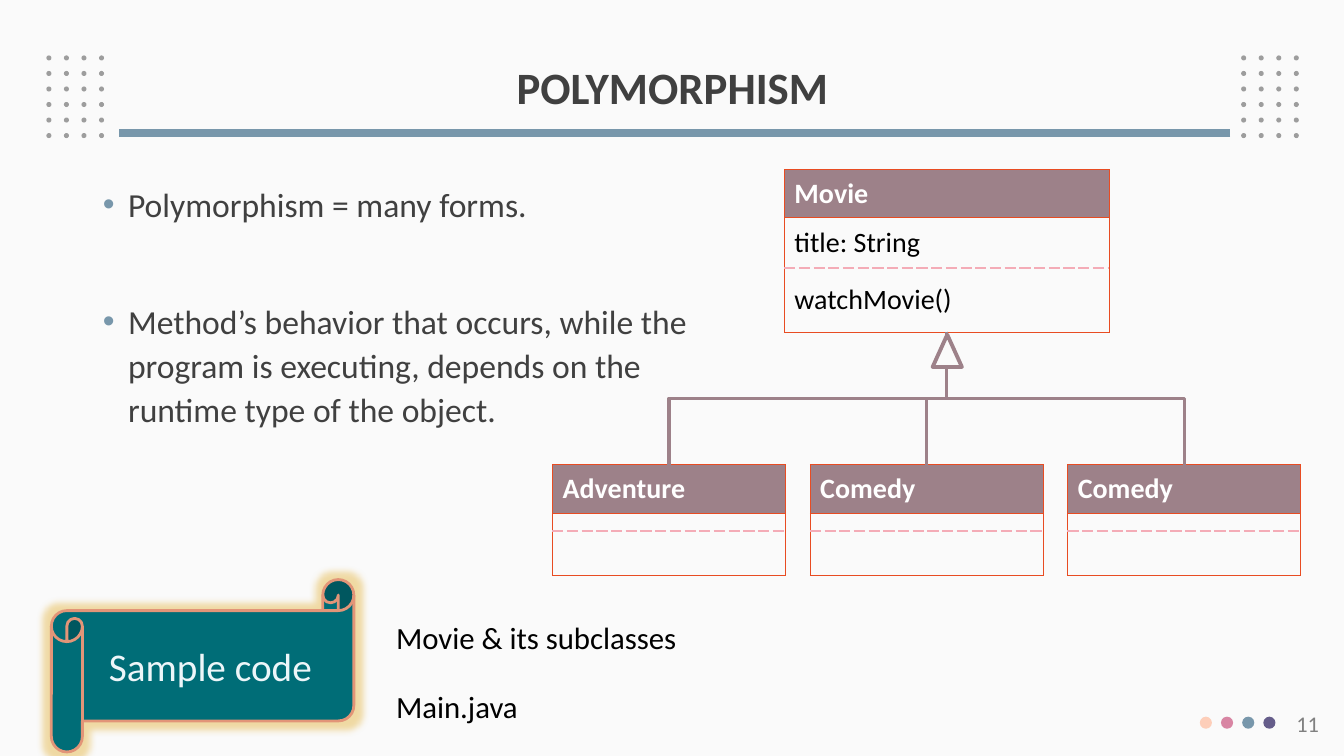
from dataclasses import dataclass
from itertools import product

from lxml.etree import SubElement
from pptx import Presentation
from pptx.dml.color import RGBColor
from pptx.enum.shapes import MSO_CONNECTOR, MSO_SHAPE
from pptx.enum.text import MSO_ANCHOR, MSO_AUTO_SIZE, PP_ALIGN
from pptx.oxml.ns import qn
from pptx.util import Inches, Pt


@dataclass(frozen=True)
class Theme:
    font: str = "Calibri"
    background: str = "FAFAFA"
    ink: str = "404040"
    black: str = "000000"
    white: str = "FFFFFF"
    number: str = "808080"
    dot: str = "9D9D9D"
    rule: str = "7897AB"
    uml: str = "9D8189"
    border: str = "E84C22"
    divider: str = "F4ACB7"
    scroll: str = "006D77"
    scroll_edge: str = "E29578"
    scroll_text: str = "EDF6F9"
    glow: str = "E9C46A"
    footer_dots: tuple = ("FDCEB9", "D885A3", "7897AB", "655D8A")
    title_size: int = 32
    scroll_size: int = 28
    body_size: int = 24
    file_size: int = 22
    class_size: int = 20
    number_size: int = 16
    empty_size: int = 4


THEME = Theme()


def rgb(value):
    return RGBColor.from_string(value)


def set_font(paragraph, size, color, bold=False):
    font = paragraph.font
    font.name, font.size, font.bold = THEME.font, Pt(size), bold
    font.color.rgb = rgb(color)


def place(shape, left, top, width, height):
    shape.left, shape.top = Inches(left), Inches(top)
    shape.width, shape.height = Inches(width), Inches(height)


def add_preset(slide, preset, box, fill, edge=None, edge_width=0):
    shape = slide.shapes.add_shape(preset, *map(Inches, box))
    shape.shadow.inherit = False
    shape.fill.solid()
    shape.fill.fore_color.rgb = rgb(fill)
    if edge:
        shape.line.color.rgb = rgb(edge)
        shape.line.width = Pt(edge_width)
    else:
        shape.line.fill.background()
    return shape


def add_line(slide, kind, begin, end, color, width):
    line = slide.shapes.add_connector(kind, *map(Inches, (*begin, *end)))
    line.line.color.rgb = rgb(color)
    line.line.width = Pt(width)
    SubElement(line._element.spPr, qn("a:effectLst"))
    return line


def add_inheritance(slide, parent, child):
    (x1, y1), (x2, y2) = parent, child
    center_x, center_y = (x1 + x2) / 2, (y1 + y2) / 2
    half_width, half_height = (y2 - y1) / 2, abs(x2 - x1) / 2
    side = 1 if x2 > x1 else -1
    begin = (center_x + side * half_width, center_y - half_height)
    end = (center_x - side * half_width, center_y + half_height)
    elbow = add_line(slide, MSO_CONNECTOR.ELBOW, begin, end, THEME.uml, 2.25)
    degrees = 270 if side > 0 else 90
    elbow._element.spPr.find(qn("a:xfrm")).set("rot", str(degrees * 60000))


def add_label(slide, text, box, size, color, align=PP_ALIGN.LEFT, wrap=False):
    frame = slide.shapes.add_textbox(*map(Inches, box)).text_frame
    frame.word_wrap = wrap
    paragraph = frame.paragraphs[0]
    paragraph.text, paragraph.alignment = text, align
    set_font(paragraph, size, color)


def set_borders(cell, top_dashed, bottom_dashed):
    properties = cell._tc.get_or_add_tcPr()
    for side, dashed in (("L", False), ("R", False), ("T", top_dashed), ("B", bottom_dashed)):
        border = SubElement(properties, qn(f"a:ln{side}"), w=str(Pt(1.5 if dashed else 0.5)))
        paint = SubElement(border, qn("a:solidFill"))
        SubElement(paint, qn("a:srgbClr"), val=THEME.divider if dashed else THEME.border)
        SubElement(border, qn("a:prstDash"), val="sysDash" if dashed else "solid")


def add_class(slide, box, row_heights, texts):
    table = slide.shapes.add_table(len(texts), 1, *map(Inches, box)).table
    table.first_row = table.horz_banding = False
    for index, (height, text) in enumerate(zip(row_heights, texts)):
        table.rows[index].height = Inches(height)
        cell = table.cell(index, 0)
        header = index == 0
        set_borders(cell, top_dashed=index == 2, bottom_dashed=index == 1)
        cell.vertical_anchor = MSO_ANCHOR.MIDDLE
        if header:
            cell.fill.solid()
            cell.fill.fore_color.rgb = rgb(THEME.uml)
        else:
            cell.fill.background()
        paragraph = cell.text_frame.paragraphs[0]
        if text:
            paragraph.text = text
            set_font(paragraph, THEME.class_size, THEME.white if header else THEME.black, header)
        else:
            cell.margin_top = cell.margin_bottom = 0
            SubElement(paragraph._p, qn("a:endParaRPr"), sz=str(THEME.empty_size * 100))


def add_decoration(slide):
    for left, column, row in product((0.46, 12.31), range(4), range(6)):
        box = (left + column * 0.174, 0.55 + row * 0.154, 0.05, 0.05)
        add_preset(slide, MSO_SHAPE.OVAL, box, THEME.dot)
    add_line(slide, MSO_CONNECTOR.STRAIGHT, (12.2, 1.32), (1.18, 1.32), THEME.rule, 5.25)
    for index, color in enumerate(THEME.footer_dots):
        add_preset(slide, MSO_SHAPE.OVAL, (11.9 + index * 0.21, 7.11, 0.12, 0.12), color)


def fill_title(title, text):
    place(title, 0.92, 0.4, 11.5, 0.98)
    frame = title.text_frame
    frame.text = text
    frame.auto_size = MSO_AUTO_SIZE.NONE
    frame.vertical_anchor = MSO_ANCHOR.MIDDLE
    heading = frame.paragraphs[0]
    heading.alignment, heading.line_spacing = PP_ALIGN.CENTER, 0.9
    set_font(heading, THEME.title_size, THEME.ink, True)


def fill_bullets(body, points):
    place(body, 0.92, 1.73, 6.46, 5.03)
    frame = body.text_frame
    frame.text = "\n".join(points)
    frame.auto_size = MSO_AUTO_SIZE.NONE
    for index, point in enumerate(frame.paragraphs):
        properties = point._p.get_or_add_pPr()
        properties.set("marL", str(Inches(0.25)))
        properties.set("indent", str(Inches(-0.25)))
        SubElement(SubElement(properties, qn("a:buClr")), qn("a:srgbClr"), val=THEME.rule)
        SubElement(properties, qn("a:buFont"), typeface="Arial")
        SubElement(properties, qn("a:buChar"), char="•")
        point.line_spacing = 1.1
        point.space_before = Pt(52 if index else 0)
        set_font(point, THEME.body_size, THEME.ink)


def add_scroll(slide, text):
    scroll = add_preset(slide, MSO_SHAPE.HORIZONTAL_SCROLL, (0.51, 5.75, 3, 1.71),
                        THEME.scroll, THEME.scroll_edge, 2)
    scroll.adjustments[0] = 0.18
    effects = scroll._element.spPr.find(qn("a:effectLst"))
    glow = SubElement(effects, qn("a:glow"), rad=str(Pt(10)))
    tint = SubElement(glow, qn("a:srgbClr"), val=THEME.glow)
    SubElement(tint, qn("a:alpha"), val="60000")
    frame = scroll.text_frame
    frame.text = text
    frame.vertical_anchor = MSO_ANCHOR.MIDDLE
    caption = frame.paragraphs[0]
    caption.alignment = PP_ALIGN.CENTER
    set_font(caption, THEME.scroll_size, THEME.scroll_text)


def add_class_diagram(slide):
    add_class(slide, (7.78, 1.68, 3.22, 1.62), (0.48, 0.5, 0.64),
              ("Movie", "title: String", "watchMovie()"))
    for index, name in enumerate(("Adventure", "Comedy", "Comedy")):
        left = 5.48 + index * 2.555
        add_class(slide, (left, 4.61, 2.31, 1.1), (0.48, 0.18, 0.44), (name, "", ""))
        add_inheritance(slide, (9.39, 3.29), (left + 1.155, 4.61))
    add_preset(slide, MSO_SHAPE.ISOSCELES_TRIANGLE, (9.25, 3.32, 0.29, 0.32),
               THEME.background, THEME.uml, 2.75)


def main():
    deck = Presentation()
    deck.slide_width, deck.slide_height = Inches(13.33), Inches(7.5)
    slide = deck.slides.add_slide(deck.slide_layouts[1])
    slide.background.fill.solid()
    slide.background.fill.fore_color.rgb = rgb(THEME.background)
    add_decoration(slide)
    fill_title(slide.shapes.title, "POLYMORPHISM")
    fill_bullets(slide.placeholders[1], (
        "Polymorphism = many forms.",
        "Method’s behavior that occurs, while the program is executing, "
        "depends on the runtime type of the object."))
    add_class_diagram(slide)
    add_scroll(slide, "Sample code")
    for top, width, text in ((6.09, 3.01, "Movie & its subclasses"), (6.77, 1.43, "Main.java")):
        add_label(slide, text, (3.83, top, width, 0.47), THEME.file_size, THEME.black)
    add_label(slide, "11", (10.18, 7, 3, 0.4), THEME.number_size, THEME.number, PP_ALIGN.RIGHT, True)
    deck.save("out.pptx")


if __name__ == "__main__":
    main()
